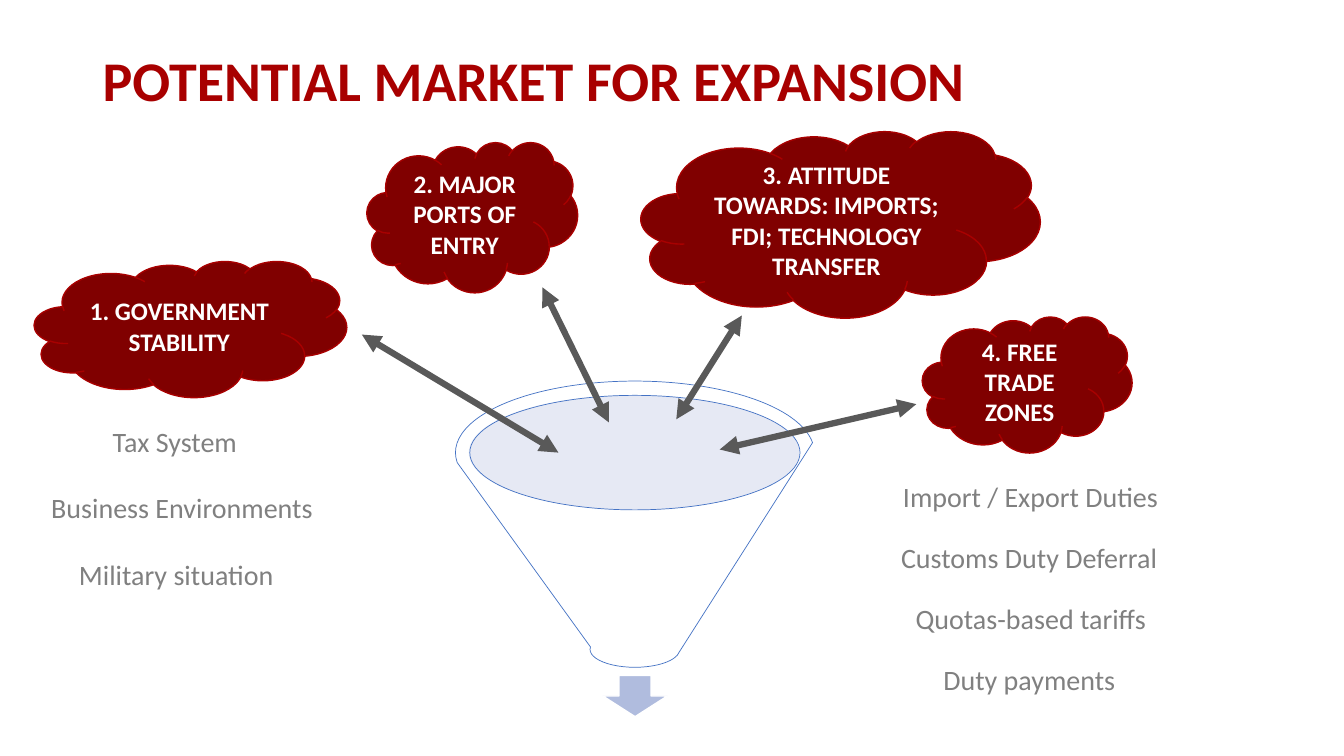
"""Build the slide on potential markets for expansion: four clouds feeding a funnel."""
from dataclasses import dataclass
from typing import Any, Optional

from lxml import etree
from pptx import Presentation
from pptx import util as u
from pptx.dml.color import RGBColor
from pptx.enum import shapes, text
from pptx.oxml.ns import qn

Pt = u.Pt
Shape = shapes.MSO_SHAPE
Align = text.PP_ALIGN
Anchor = text.MSO_ANCHOR
FONT = "Calibri"
RED, MAROON, GREY, DARK, WHITE = "A80000", "800000", "808080", "595959", "FFFFFF"


@dataclass
class Box:
    left: float
    top: float
    width: float
    height: float

    def lengths(self) -> tuple:
        return Pt(self.left), Pt(self.top), Pt(self.width), Pt(self.height)


@dataclass
class Figure:
    kind: Any
    box: Box
    fill: str
    line: Optional[str] = None
    weight: float = 1
    alpha: Optional[int] = None
    label: str = ""


@dataclass
class Arrow:
    x1: float
    y1: float
    x2: float
    y2: float


@dataclass
class Column:
    centre: float
    top: float
    step: float
    entries: list


CLOUDS = [
    Figure(Shape.CLOUD, Box(457.9, 93.6, 285.1, 133.2), MAROON, RED,
           label="3. ATTITUDE TOWARDS: IMPORTS; FDI; TECHNOLOGY TRANSFER"),
    Figure(Shape.CLOUD, Box(658.8, 226.1, 149.8, 97.2), MAROON, RED, label="4. FREE TRADE ZONES"),
    Figure(Shape.CLOUD, Box(262.1, 101.5, 150.5, 107.3), MAROON, RED, label="2. MAJOR PORTS OF ENTRY"),
    Figure(Shape.CLOUD, Box(24.5, 186.5, 223.2, 97.2), MAROON, RED, label="1. GOVERNMENT STABILITY"),
]
FUNNEL = [
    Figure(Shape.OVAL, Box(334.8, 282.2, 236.2, 82.1), "C1C9E4", alpha=40),
    Figure(Shape.DOWN_ARROW, Box(430.6, 482.4, 46.1, 29.5), "B0BCDE", WHITE),
    Figure(Shape.FUNNEL, Box(325.4, 272.2, 256.3, 204.5), WHITE, "4472C4", 0.5, 40),
]
ARROWS = [
    Arrow(258.5, 239, 398.9, 323.3),
    Arrow(387.4, 205.2, 434.9, 301.7),
    Arrow(529.9, 225.4, 483.1, 299.5),
    Arrow(654.5, 288.7, 514.1, 321.1),
]
COLUMNS = [
    Column(131, 299.5, 47.5, [("Tax System", 115.2), ("Business Environments", 203), ("Military situation", 163.4)]),
    Column(738, 339.1, 43.4, [("Import / Export Duties", 200.2), ("Customs Duty Deferral", 203),
                              ("Quotas-based tariffs", 182.2), ("Duty payments", 142.6)]),
]


def rgb(colour: str) -> RGBColor:
    return RGBColor.from_string(colour)


def write(sp: Any, words: str, size: float, colour: str, bold: bool,
          align: Any, anchor: Any, spacing: float = 1.0) -> None:
    tf = sp.text_frame
    tf.text = words
    p = tf.paragraphs[0]
    formats = {
        tf: {"word_wrap": True, "vertical_anchor": anchor, "auto_size": text.MSO_AUTO_SIZE.NONE},
        p: {"alignment": align, "line_spacing": spacing},
    }
    for target, values in formats.items():
        for name, value in values.items():
            setattr(target, name, value)
    r = p.runs[0]
    for name, value in {"name": FONT, "size": Pt(size), "bold": bold}.items():
        setattr(r.font, name, value)
    r.font.color.rgb = rgb(colour)


def draw_figure(parent: Any, figure: Figure) -> None:
    sp = parent.add_shape(figure.kind, *figure.box.lengths())
    sp.shadow.inherit = False
    sp.fill.solid()
    sp.fill.fore_color.rgb = rgb(figure.fill)
    if figure.alpha is not None:
        colour = sp.fill._xPr.find(qn("a:solidFill"))[0]
        etree.SubElement(colour, qn("a:alpha"), val=str(figure.alpha * 1000))
    if figure.line:
        sp.line.color.rgb = rgb(figure.line)
        sp.line.width = Pt(figure.weight)
    else:
        sp.line.fill.background()
    if figure.label:
        write(sp, figure.label, 18, WHITE, True, Align.CENTER, Anchor.MIDDLE)


def draw_arrow(parent: Any, arrow: Arrow) -> None:
    cx = parent.add_connector(shapes.MSO_CONNECTOR.STRAIGHT, Pt(arrow.x1), Pt(arrow.y1),
                              Pt(arrow.x2), Pt(arrow.y2))
    cx.line.color.rgb = rgb(DARK)
    cx.line.width = Pt(4.5)
    ln = cx.line._get_or_add_ln()
    for end in ("a:headEnd", "a:tailEnd"):
        etree.SubElement(ln, qn(end), type="triangle")
    etree.SubElement(cx._element.spPr, qn("a:effectLst"))


def draw_column(parent: Any, column: Column) -> None:
    for i, (words, width) in enumerate(column.entries):
        box = Box(column.centre - width / 2, column.top + i * column.step, width, 31.5)
        sp = parent.add_textbox(*box.lengths())
        write(sp, words, 20, GREY, False, Align.LEFT, Anchor.TOP)


def draw_title(title: Any) -> None:
    title.left, title.top, title.width, title.height = Box(66.2, 28.8, 828, 61.2).lengths()
    write(title, "POTENTIAL MARKET FOR EXPANSION", 40, RED, True, Align.LEFT, Anchor.MIDDLE, 0.9)


def main() -> None:
    prs = Presentation()
    prs.slide_width, prs.slide_height = Pt(960), Pt(540)
    s = prs.slides.add_slide(prs.slide_layouts[5])
    draw_title(s.shapes.title)
    for cloud in CLOUDS:
        draw_figure(s.shapes, cloud)
    funnel = s.shapes.add_group_shape()
    for part in FUNNEL:
        draw_figure(funnel.shapes, part)
    for arrow in ARROWS:
        draw_arrow(s.shapes, arrow)
    for column in COLUMNS:
        draw_column(s.shapes, column)
    prs.save("out.pptx")


if __name__ == "__main__":
    main()
